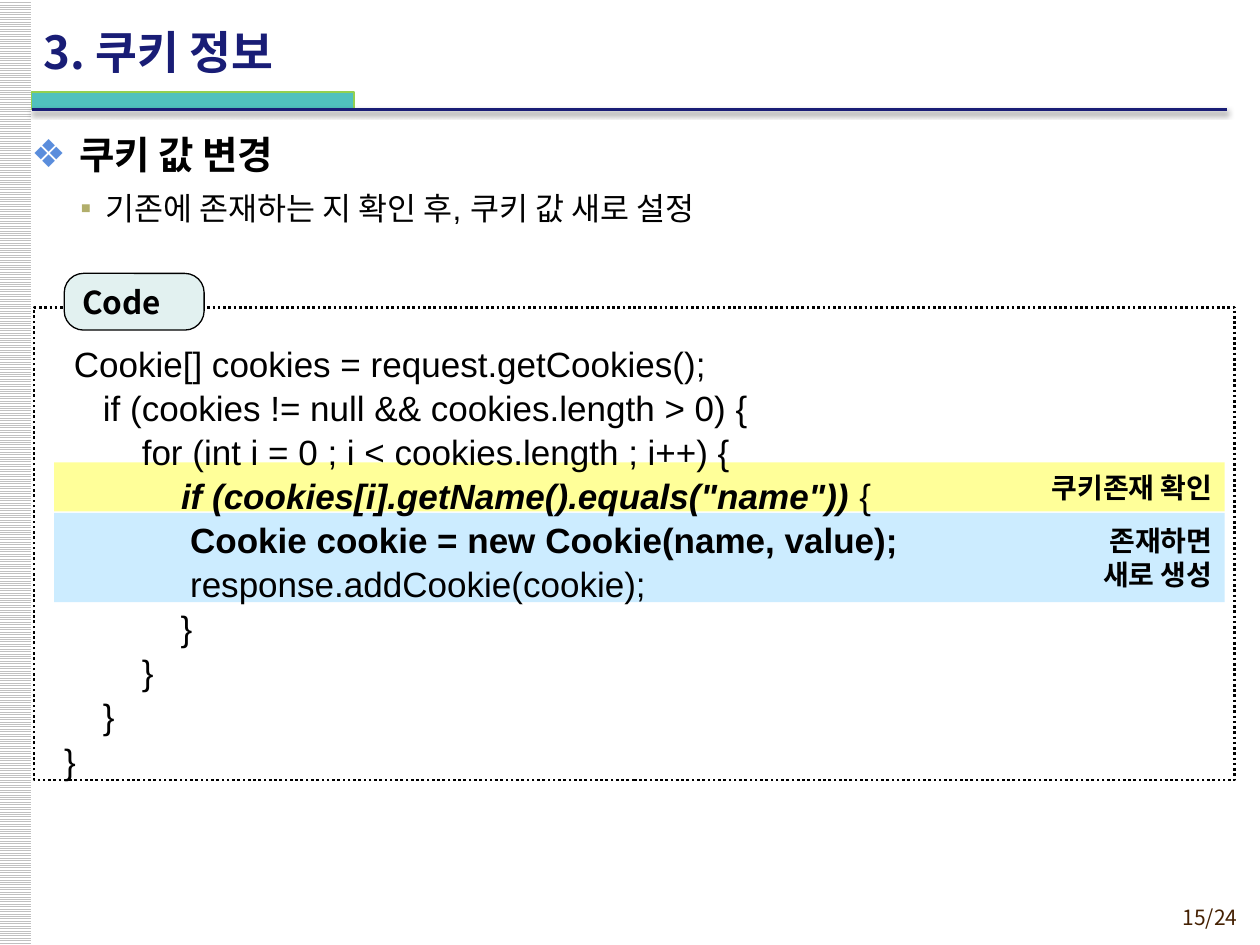
from dataclasses import dataclass

from lxml import etree
from pptx import Presentation, util as u
from pptx.dml.color import RGBColor
from pptx.enum import dml, shapes, text
from pptx.oxml import ns

NAVY = RGBColor(0x19, 0x1D, 0x76)
TEAL = RGBColor(0x50, 0xC1, 0xBE)
GREEN = RGBColor(0x92, 0xD0, 0x50)
BROWN = RGBColor(0x45, 0x21, 0x03)
BLACK = RGBColor(0, 0, 0)
WHITE = RGBColor(0xFF, 0xFF, 0xFF)
GRAY = RGBColor(0xC0, 0xC0, 0xC0)
SKY = RGBColor(0xCC, 0xEC, 0xFF)
YELLOW = RGBColor(0xFF, 0xFF, 0x99)
MINT = RGBColor(0xE2, 0xF1, 0xF0)
BLUE = RGBColor(0x5A, 0x8D, 0xDC)
OLIVE = RGBColor(0xB1, 0xAE, 0x6B)

KOREAN, LATIN = "Noto Sans CJK KR", "Arial"
RECT = shapes.MSO_SHAPE.RECTANGLE
RIGHT = text.PP_ALIGN.RIGHT
MIDDLE = text.MSO_ANCHOR.MIDDLE

# Each line of code is a list of (text, bold, italic) pieces
CODE = [
    [(" Cookie[] cookies = request.getCookies();", False, False)],
    [("    if (cookies != null && cookies.length > 0) {", False, False)],
    [("        for (int i = 0 ; i < cookies.length ; i++) {", False, False)],
    [("            ", False, False),
     ('if (cookies[i].getName().equals("name")) ', True, True),
     ("{", False, False)],
    [("            \t", False, False),
     ("Cookie cookie = new Cookie(name, value);", True, False)],
    [("            \tresponse.addCookie(cookie);", False, False)],
] + [[(" " * indent + "}", False, False)] for indent in (12, 8, 4, 0)]


@dataclass
class Box:
    left: float
    top: float
    width: float
    height: float

    def inner(self, left, top, width, height):
        """Inner box, given in percent of this one."""
        return Box(self.left + self.width * left / 100,
                   self.top + self.height * top / 100,
                   self.width * width / 100, self.height * height / 100)

    def place(self):
        return [u.Emu(round(n)) for n in
                (self.left, self.top, self.width, self.height)]


def style(span, size, color=BLACK, bold=False, italic=False, font=KOREAN):
    span.font.size = u.Pt(size)
    span.font.color.rgb = color
    span.font.bold, span.font.italic = bold, italic
    span.font.name = font
    east = etree.SubElement(span._r.get_or_add_rPr(), ns.qn("a:ea"))
    east.set("typeface", KOREAN)


def add_block(page, box, kind=RECT, fill=None, line=None, weight=0.75):
    block = page.shapes.add_shape(kind, *box.place())
    block.shadow.inherit = False
    if fill is None:
        block.fill.background()
    else:
        block.fill.solid()
        block.fill.fore_color.rgb = fill
    if line is None:
        block.line.fill.background()
    else:
        block.line.color.rgb = line
        block.line.width = u.Pt(weight)
    return block


def write(shape, lines, size, align=text.PP_ALIGN.LEFT, anchor=MIDDLE, **look):
    frame = shape.text_frame
    frame.word_wrap = True
    frame.vertical_anchor = anchor
    frame.text = "\n".join(lines)
    for para in frame.paragraphs:
        para.alignment = align
        for span in para.runs:
            style(span, size, **look)


def add_bullet(para, mark, color, margin, hanging):
    props = para._p.get_or_add_pPr()
    props.set("marL", str(u.Inches(margin)))
    props.set("indent", str(-u.Inches(hanging)))
    tint = etree.SubElement(props, ns.qn("a:buClr"))
    etree.SubElement(tint, ns.qn("a:srgbClr")).set("val", str(color))
    etree.SubElement(props, ns.qn("a:buFont")).set("typeface", LATIN)
    etree.SubElement(props, ns.qn("a:buChar")).set("char", mark)


def add_margin_and_number(page, box):
    # Striped left margin
    stripes = add_block(page, box.inner(-0.1, 0, 2.6, 100))
    stripes.fill.patterned()
    stripes.fill.pattern = dml.MSO_PATTERN.LIGHT_HORIZONTAL
    stripes.fill.fore_color.rgb = GRAY
    stripes.fill.back_color.rgb = WHITE
    # Page number
    number = page.shapes.add_textbox(*box.inner(88.6, 95.07, 10.6, 3.87).place())
    write(number, ["15/24"], 12, RIGHT, text.MSO_ANCHOR.TOP, color=BROWN)


def add_header(page, box):
    add_block(page, box.inner(0, 81.11, 26.98, 15.56), fill=TEAL, line=GREEN)
    # Rule with a soft shadow below
    left, top, width, _ = box.inner(0, 96.67, 100, 0).place()
    rule = page.shapes.add_connector(shapes.MSO_CONNECTOR.STRAIGHT,
                                     left, top, left + width, top)
    rule.line.color.rgb = NAVY
    rule.line.width = u.Pt(2)
    effects = etree.SubElement(rule._element.spPr, ns.qn("a:effectLst"))
    shadow = etree.SubElement(effects, ns.qn("a:outerShdw"), blurRad="39370",
                              dist="20320", dir="5400000", rotWithShape="0")
    shade = etree.SubElement(shadow, ns.qn("a:srgbClr"), val=str(BLACK))
    etree.SubElement(shade, ns.qn("a:alpha"), val="38000")
    # Title
    title = page.shapes.add_textbox(*box.inner(0, 10, 87.14, 70).place())
    write(title, ["3. 쿠키 정보"], 26, color=NAVY, bold=True)


def add_code_panel(page, box):
    # Highlighted rows with their remarks
    for top, height, fill, remark in (
            (43.47, 18.93, SKY, ["존재하면", "새로 생성"]),
            (32.8, 10.4, YELLOW, ["쿠키존재 확인"])):
        row = add_block(page, box.inner(1.68, top, 97.48, height), fill=fill)
        write(row, remark, 16, RIGHT, bold=True)
    # Dotted frame and its tag
    frame = add_block(page, box, line=BLACK, weight=1.5)
    frame.line.dash_style = dml.MSO_LINE.ROUND_DOT
    tag = add_block(page, box.inner(2.52, -7.2, 11.65, 12),
                    shapes.MSO_SHAPE.ROUNDED_RECTANGLE, MINT, BLACK)
    tag.adjustments[0] = 0.34
    write(tag, ["Code"], 18, bold=True)
    # Code listing
    listing = page.shapes.add_textbox(*box.inner(1.47, 5.6, 90.14, 91.47).place())
    body = listing.text_frame
    body.word_wrap = True
    for index, pieces in enumerate(CODE):
        para = body.add_paragraph() if index else body.paragraphs[0]
        para.line_spacing = 1.05
        for words, bold, italic in pieces:
            span = para.add_run()
            span.text = words
            style(span, 20, bold=bold, italic=italic, font=LATIN)


def add_points(page, box):
    points = page.shapes.add_textbox(*box.place())
    body = points.text_frame
    body.word_wrap = True
    body.text = "쿠키 값 변경\n기존에 존재하는 지 확인 후, 쿠키 값 새로 설정"
    heading, detail = body.paragraphs
    heading.space_after = u.Pt(1)
    detail.level = 1
    detail.line_spacing = 1.1
    detail.space_before, detail.space_after = u.Pt(3.6), u.Pt(1)
    add_bullet(heading, "❖", BLUE, 0.38, 0.38)
    add_bullet(detail, "▪", OLIVE, 0.59, 0.2)
    style(heading.runs[0], 22, bold=True, font=LATIN)
    style(detail.runs[0], 18, font=LATIN)


def main():
    deck = Presentation()
    deck.slide_width, deck.slide_height = u.Inches(10), u.Inches(7.5)
    page = deck.slides.add_slide(deck.slide_layouts[6])
    whole = Box(0, 0, deck.slide_width, deck.slide_height)
    add_margin_and_number(page, whole)
    add_header(page, whole.inner(2.5, 0, 94.9, 12))
    add_code_panel(page, whole.inner(2.7, 32.53, 95.3, 50))
    add_points(page, whole.inner(1.5, 13.2, 95, 83.33))
    deck.save("out.pptx")


if __name__ == "__main__":
    main()
